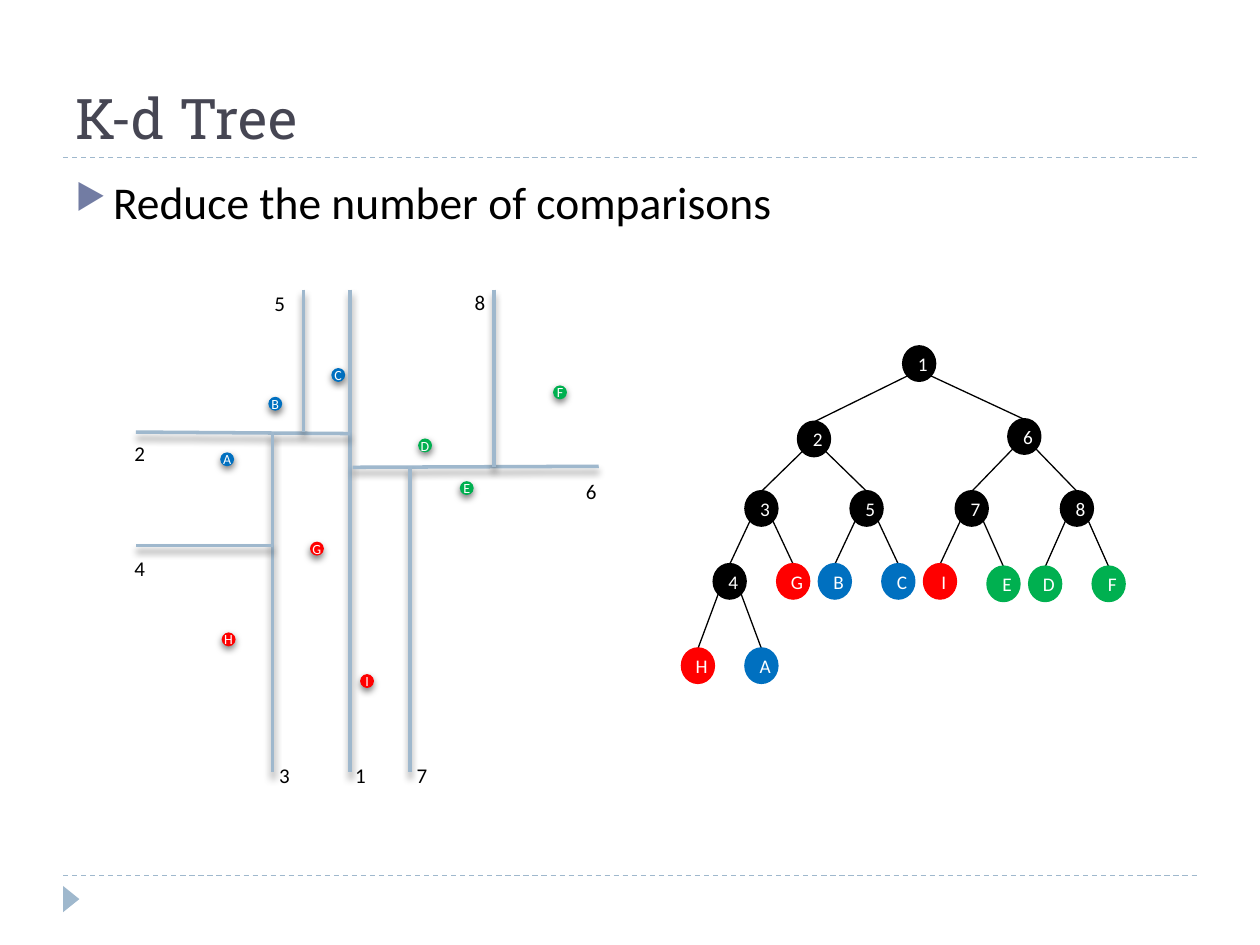
from math import sqrt

from lxml.etree import SubElement
from pptx import Presentation
from pptx.dml.color import RGBColor
from pptx.enum.dml import MSO_LINE
from pptx.enum.shapes import MSO_CONNECTOR, MSO_SHAPE
from pptx.enum.text import MSO_ANCHOR, PP_ALIGN
from pptx.oxml.ns import qn
from pptx.util import Cm, Pt

ELLIPSE, TRIANGLE = MSO_SHAPE.OVAL, MSO_SHAPE.ISOSCELES_TRIANGLE
STRAIGHT, DASH = MSO_CONNECTOR.STRAIGHT, MSO_LINE.DASH
MIDDLE, BOTTOM, CENTER = MSO_ANCHOR.MIDDLE, MSO_ANCHOR.BOTTOM, PP_ALIGN.CENTER

BLACK = RGBColor(0x00, 0x00, 0x00)
WHITE = RGBColor(0xFF, 0xFF, 0xFF)
SLATE = RGBColor(0x46, 0x46, 0x53)
PALE_BLUE = RGBColor(0x9F, 0xB8, 0xCD)
RED = RGBColor(0xFF, 0x00, 0x00)
GREEN = RGBColor(0x00, 0xB0, 0x50)
BLUE = RGBColor(0x00, 0x70, 0xC0)
BULLET_COLOR = "727CA3"

BODY_FONT, TITLE_FONT = "Calibri", "Roboto Slab"
POINT_SIZE = 0.28
NODE_WIDTH, NODE_HEIGHT = 0.64, 0.69
CHILD_OFFSETS = (2.12, 1.06, 0.64, 0.64)  # by depth of the parent
TOP, FLOOR = 5.84, 15.57  # vertical extent of the partition

# Data points: label, colour, centre
POINTS = [
    ("F", GREEN, 11.29, 7.91), ("E", GREEN, 9.41, 9.84), ("D", GREEN, 8.57, 8.98),
    ("G", RED, 6.39, 11.06), ("H", RED, 4.61, 12.89), ("I", RED, 7.40, 13.73),
    ("A", BLUE, 4.58, 9.26), ("C", BLUE, 6.82, 7.56), ("B", BLUE, 5.55, 8.14),
]

# Splitting lines: label, start, end, label corner
SPLITS = [
    ("1", (7.06, TOP), (7.06, FLOOR), (6.91, 15.24)),
    ("2", (7.06, 8.74), (2.74, 8.71), (2.46, 8.76)),
    ("3", (5.49, 8.71), (5.49, FLOOR), (5.38, 15.24)),
    ("4", (5.51, 11.0), (2.74, 11.0), (2.46, 11.07)),
    ("5", (6.12, TOP), (6.12, 8.71), (5.28, 5.74)),
    ("6", (12.07, 9.40), (7.11, 9.42), (11.56, 9.53)),
    ("7", (8.26, 9.40), (8.26, FLOOR), (8.15, 15.24)),
    ("8", (9.96, TOP), (9.96, 9.42), (9.32, 5.72)),
]

# Tree: label, colour, centre height, children from left to right
TREE = ("1", BLACK, 7.33, [
    ("2", BLACK, 8.85, [
        ("3", BLACK, 10.25, [
            ("4", BLACK, 11.72, [("H", RED, 13.42, []), ("A", BLUE, 13.42, [])]),
            ("G", RED, 11.72, [])]),
        ("5", BLACK, 10.25, [("B", BLUE, 11.72, []), ("C", BLUE, 11.72, [])])]),
    ("6", BLACK, 8.80, [
        ("7", BLACK, 10.25, [("I", RED, 11.72, []), ("E", GREEN, 11.77, [])]),
        ("8", BLACK, 10.25, [("D", GREEN, 11.77, []), ("F", GREEN, 11.77, [])])]),
])


def add_span(para, text, size, color, font=BODY_FONT):
    span = para.add_run()
    span.text = text
    span.font.size = Pt(size)
    span.font.name = font
    span.font.color.rgb = color


def add_effects(element, opacity=None, distance=0):
    """Add an effect list, with a downward shadow when an opacity is given."""
    effects = SubElement(element.spPr, qn("a:effectLst"))
    if opacity:
        shadow = SubElement(effects, qn("a:outerShdw"), blurRad=str(Pt(4)),
                            dist=str(Pt(distance)), dir="5400000", rotWithShape="0")
        color = SubElement(shadow, qn("a:srgbClr"), val=str(BLACK))
        SubElement(color, qn("a:alpha"), val=str(opacity * 1000))


def add_line(page, start, end, color, width, dashed=False, shadow=()):
    line = page.shapes.add_connector(STRAIGHT, *(Cm(v) for v in (*start, *end)))
    line.line.color.rgb = color
    line.line.width = Pt(width)
    if dashed:
        line.line.dash_style = DASH
    add_effects(line._element, *shadow)


def add_text(page, corner, size, text, points, color, font=BODY_FONT, wrap=True):
    box = page.shapes.add_textbox(*(Cm(v) for v in (*corner, *size)))
    box.text_frame.word_wrap = wrap
    add_span(box.text_frame.paragraphs[0], text, points, color, font)
    return box.text_frame


def add_disc(page, label, color, x, y, width, height, points, outline=0,
             left_inset=0, shadow=()):
    disc = page.shapes.add_shape(
        ELLIPSE, *(Cm(v) for v in (x - width / 2, y - height / 2, width, height)))
    disc.fill.solid()
    disc.fill.fore_color.rgb = color
    if outline:
        disc.line.color.rgb = color
        disc.line.width = Pt(outline)
    else:
        disc.line.fill.background()
    add_effects(disc._element, *shadow)
    frame = disc.text_frame
    frame.word_wrap = False
    frame.vertical_anchor = MIDDLE
    frame.margin_left = Cm(left_inset)
    frame.margin_right = frame.margin_top = frame.margin_bottom = 0
    para = frame.paragraphs[0]
    para.alignment = CENTER
    add_span(para, label, points, WHITE)


def add_tree(page, node, x, depth=0):
    label, color, y, children = node
    add_disc(page, label, color, x, y, NODE_WIDTH, NODE_HEIGHT, 11,
             outline=1.5, left_inset=0.15)
    for side, child in zip((-1, 1), children):
        child_x = x + side * CHILD_OFFSETS[depth]
        start = (x + side * NODE_WIDTH / sqrt(8), y + NODE_HEIGHT / sqrt(8))
        add_line(page, start, (child_x, child[2] - NODE_HEIGHT / 2), BLACK, 0.75)
        add_tree(page, child, child_x, depth + 1)


def add_bullet(para):
    props = para._p.get_or_add_pPr()
    props.set("marL", str(Cm(0.76)))
    props.set("indent", str(-Cm(0.76)))
    color = SubElement(props, qn("a:buClr"))
    SubElement(color, qn("a:srgbClr"), val=BULLET_COLOR)
    SubElement(props, qn("a:buSzPct"), val="76000")
    SubElement(props, qn("a:buChar"), char="\u25b6")


def add_frame(page):
    for y in (17.65, 3.18):
        add_line(page, (1.27, y), (24.13, y), PALE_BLUE, 0.75, dashed=True)
    marker = page.shapes.add_shape(TRIANGLE, Cm(1.17), Cm(17.96), Cm(0.53), Cm(0.33))
    marker.rotation = 90
    marker.fill.solid()
    marker.fill.fore_color.rgb = PALE_BLUE
    marker.line.fill.background()
    marker.shadow.inherit = False


def add_heading(page):
    title = add_text(page, (1.27, 0.43), (22.86, 2.74), "K-d Tree", 32, SLATE, TITLE_FONT)
    title.vertical_anchor = BOTTOM
    body = add_text(page, (1.27, 3.38), (22.86, 1.9),
                    "Reduce the number of comparisons", 26, BLACK)
    para = body.paragraphs[0]
    para.space_before = Pt(6)
    add_bullet(para)


def main():
    deck = Presentation()
    deck.slide_width, deck.slide_height = Cm(25.4), Cm(19.05)
    page = deck.slides.add_slide(deck.slide_layouts[6])

    add_frame(page)
    add_heading(page)

    # Partition of the plane
    for label, color, x, y in POINTS:
        add_disc(page, label, color, x, y, POINT_SIZE, POINT_SIZE, 8, shadow=(50, 2))
    for label, start, end, corner in SPLITS:
        add_line(page, start, end, PALE_BLUE, 2, shadow=(40, 3.4))
        add_text(page, corner, (0.74, 0.76), label, 12, BLACK, wrap=False)

    # Matching tree
    add_tree(page, TREE, 18.53)
    deck.save("out.pptx")


main()
